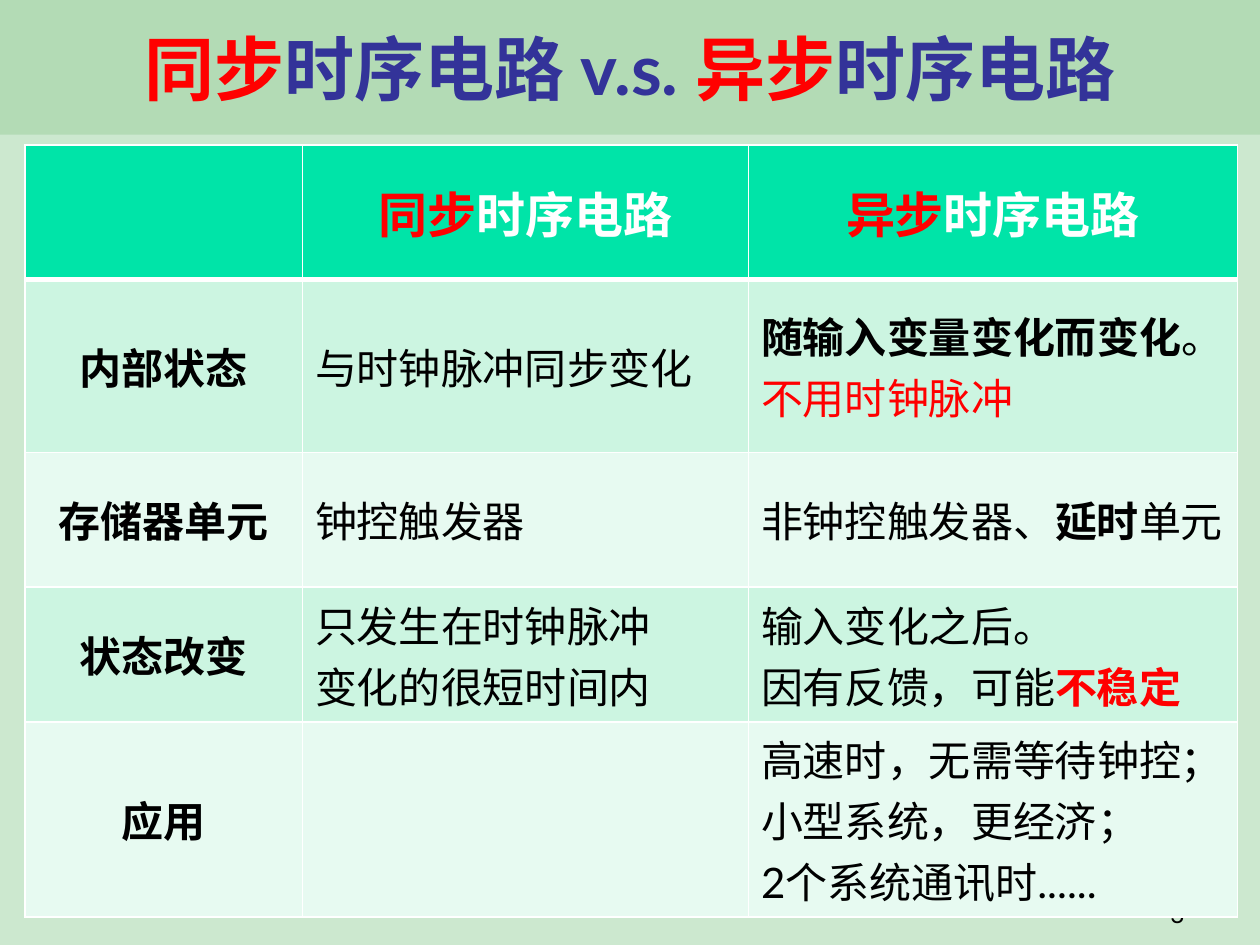
from lxml import etree
from pptx import Presentation
from pptx.dml.color import RGBColor
from pptx.enum.shapes import MSO_SHAPE
from pptx.enum.text import MSO_ANCHOR, PP_ALIGN
from pptx.oxml.ns import qn
from pptx.util import Inches, Pt

RECT = MSO_SHAPE.RECTANGLE
MIDDLE, BOTTOM = MSO_ANCHOR.MIDDLE, MSO_ANCHOR.BOTTOM
LEFT, CENTER, RIGHT = PP_ALIGN.LEFT, PP_ALIGN.CENTER, PP_ALIGN.RIGHT
FONT = "Lato"
RED, BLUE, BLACK, WHITE = "FF0000", "333399", "000000", "FFFFFF"
HEAD, BANDS = "00E4A8", ("CCF5E1", "E7FAF1")
COLS = (2.2, 3.54, 3.88)
ROWS = (1.07, 1.37, 1.07, 1.07, 1.55)
SYNC, ASYNC, REST = "同步", "异步", "时序电路"

BODY = [
    ("内部状态", [["与时钟脉冲同步变化"]],
     [[("随输入变量变化而变化", BLACK, True), "。", ("不用时钟脉冲", RED, False)]]),
    ("存储器单元", [["钟控触发器"]],
     [["非钟控触发器、", ("延时", BLACK, True), "单元"]]),
    ("状态改变", [["只发生在时钟脉冲\n变化的很短时间内"]],
     [["输入变化之后。\n因有反馈，可能", ("不稳定", RED, True)]]),
    ("应用", [],
     [["高速时，无需等待钟控；"], ["小型系统，更经济；"], ["2个系统通讯时......"]]),
]


def color(code):
    return RGBColor.from_string(code)


def write(frame, paras, size=24, align=LEFT):
    frame.word_wrap = True
    for i, runs in enumerate(paras):
        para = frame.add_paragraph() if i else frame.paragraphs[0]
        para.alignment = align
        for part in runs:
            text, tint, bold = (part, BLACK, False) if isinstance(part, str) else part
            for j, line in enumerate(text.split("\n")):
                if j:
                    para.add_line_break()
                run = para.add_run()
                run.text = line
                run.font.name = FONT
                run.font.size = Pt(size)
                run.font.bold = bold
                run.font.color.rgb = color(tint)


def add_text(slide, box, paras, anchor=MIDDLE, **style):
    frame = slide.shapes.add_textbox(*map(Inches, box)).text_frame
    frame.vertical_anchor = anchor
    write(frame, paras, **style)


def add_title(slide, box):
    x, y, w, h = box
    band = slide.shapes.add_shape(RECT, *map(Inches, box))
    band.shadow.inherit = False
    band.fill.solid()
    band.fill.fore_color.rgb = color("B3DBB5")
    band.line.fill.background()
    runs = [(SYNC, RED, True), (REST + " v.s. ", BLUE, True),
            (ASYNC, RED, True), (REST, BLUE, True)]
    add_text(slide, (x + 0.12, y + 0.08, w - 0.24, h - 0.16), [runs],
             size=40, align=CENTER)


def edge(cell, widths):
    props = cell._tc.get_or_add_tcPr()
    for i, (side, width) in enumerate(zip("LRTB", widths)):
        line = etree.Element(qn("a:ln" + side), w=str(Pt(width)))
        fill = etree.SubElement(line, qn("a:solidFill"))
        etree.SubElement(fill, qn("a:srgbClr"), val=WHITE)
        props.insert(i, line)


def add_grid(slide, box):
    table = slide.shapes.add_table(len(ROWS), len(COLS), *map(Inches, box)).table
    for col, width in zip(table.columns, COLS):
        col.width = Inches(width)
    for row, height in zip(table.rows, ROWS):
        row.height = Inches(height)
    heads = [[]] + [[[(word, RED, True), (REST, WHITE, True)]] for word in (SYNC, ASYNC)]
    body = [([[(name, BLACK, True)]], sync, other) for name, sync, other in BODY]
    for r, items in enumerate([heads] + body):
        for c, paras in enumerate(items):
            cell = table.cell(r, c)
            cell.vertical_anchor = MIDDLE
            cell.fill.solid()
            cell.fill.fore_color.rgb = color(BANDS[(r - 1) % 2] if r else HEAD)
            edge(cell, (1, 1, 3 if r == 1 else 1, 1 if r else 3))
            write(cell.text_frame, paras, size=24 if r else 28,
                  align=CENTER if r == 0 or c == 0 else LEFT)


def main():
    deck = Presentation()
    deck.slide_width, deck.slide_height = Inches(10), Inches(7.5)
    slide = deck.slides.add_slide(deck.slide_layouts[6])
    slide.background.fill.solid()
    slide.background.fill.fore_color.rgb = color("CCE8CF")
    add_title(slide, (0, 0, 10, 1.07))
    add_text(slide, (7.42, 6.92, 2.08, 0.5), [["3"]], anchor=BOTTOM,
             size=14, align=RIGHT)
    add_grid(slide, (0.2, 1.15, sum(COLS), sum(ROWS)))
    deck.save("out.pptx")


if __name__ == "__main__":
    main()
